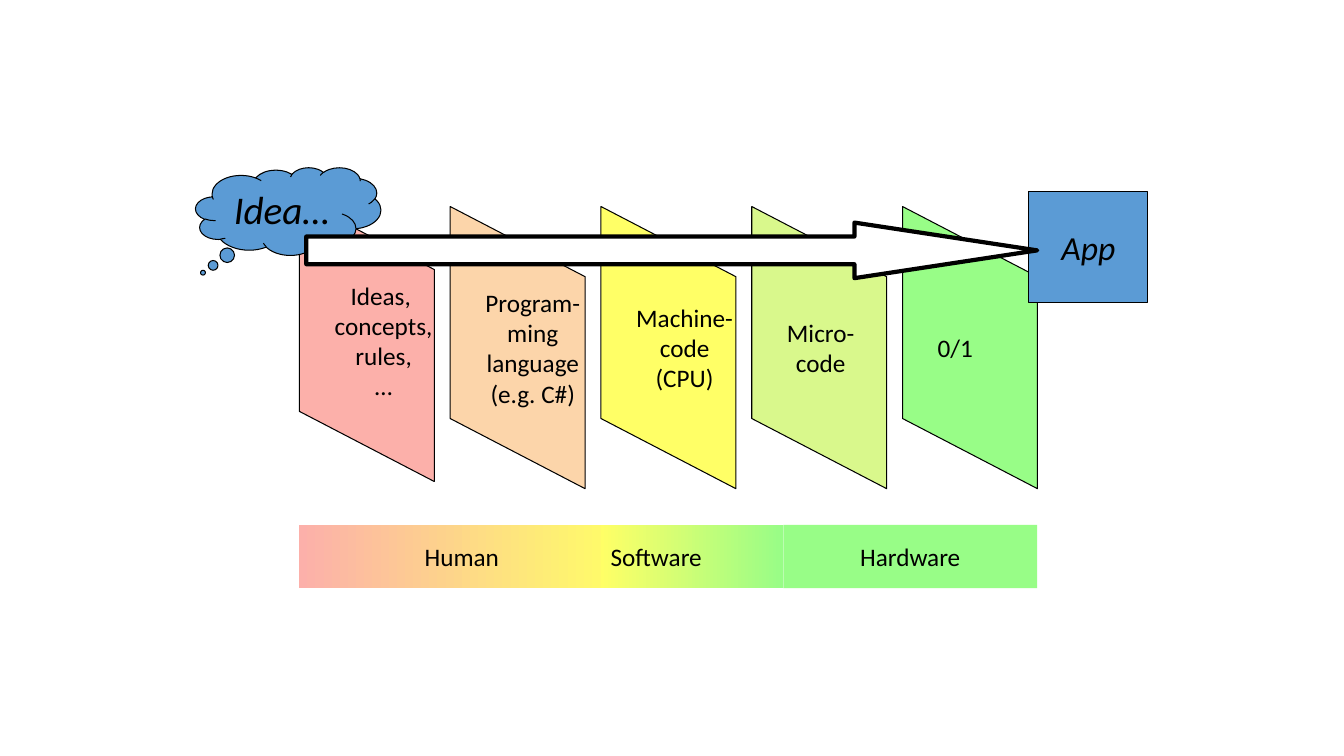
"""Build a slide showing the layers between an idea and a running app."""
from pptx import Presentation
from pptx.dml.color import RGBColor
from pptx.enum.shapes import MSO_SHAPE
from pptx.enum.text import MSO_ANCHOR, PP_ALIGN
from pptx.util import Cm, Pt

PARALLELOGRAM = MSO_SHAPE.PARALLELOGRAM
CLOUD = MSO_SHAPE.CLOUD_CALLOUT
RECTANGLE = MSO_SHAPE.RECTANGLE
RIGHT_ARROW = MSO_SHAPE.RIGHT_ARROW
MIDDLE, TOP = MSO_ANCHOR.MIDDLE, MSO_ANCHOR.TOP
CENTER, LEFT = PP_ALIGN.CENTER, PP_ALIGN.LEFT

RED, ORANGE, YELLOW = "FCB0AA", "FCD5AA", "FFFF66"
LIME, GREEN, BLUE = "D9F88C", "98FD87", "5B9BD5"
BLACK, WHITE = "000000", "FFFFFF"


def color(hex_string):
    return RGBColor.from_string(hex_string)


def add_block(kind, left, top, width, height, fills, line_width, text="",
              size=18, italic=False, align=CENTER, anchor=MIDDLE, wrap=False):
    shape = slide.shapes.add_shape(kind, Cm(left), Cm(top), Cm(width), Cm(height))
    shape.shadow.inherit = False
    if len(fills) == 1:
        shape.fill.solid()
        shape.fill.fore_color.rgb = color(fills[0])
    else:
        shape.fill.gradient()
        shape.fill.gradient_angle = 0
        for stop, fill in zip(shape.fill.gradient_stops, fills):
            stop.color.rgb = color(fill)
    if line_width:
        shape.line.color.rgb = color(BLACK)
        shape.line.width = Pt(line_width)
    else:
        shape.line.fill.background()
    text_frame = shape.text_frame
    text_frame.text = text
    text_frame.word_wrap = wrap
    text_frame.vertical_anchor = anchor
    for paragraph in text_frame.paragraphs:
        paragraph.alignment = align
        for run in paragraph.runs:
            run.font.name = "Calibri"
            run.font.size = Pt(size)
            run.font.italic = italic
            run.font.color.rgb = color(BLACK)
    return shape


presentation = Presentation()
presentation.slide_width = Cm(33.87)
presentation.slide_height = Cm(19.05)
slide = presentation.slides.add_slide(presentation.slide_layouts[6])

layers = [
    ("Ideas, \nconcepts,\nrules,\n…", RED, 6.88),
    ("Program-\nming\nlanguage\n(e.g. C#)", ORANGE, 7.06),
    ("Machine-\ncode\n(CPU)", YELLOW, 7.06),
    ("Micro-\ncode", LIME, 7.06),
    ("0/1", GREEN, 7.06),
]
for index, (text, fill, top) in enumerate(layers):
    layer = add_block(PARALLELOGRAM, 5.69 + 3.8 * index, top, 7.11, 3.4,
                      [fill], 0.75, text)
    layer.rotation = 90
    layer.adjustments[0] = 0.52
    body_properties = layer.element.txBody.bodyPr
    body_properties.set("rot", "10800000")
    body_properties.set("vert", "eaVert")

idea = add_block(CLOUD, 4.93, 4.22, 4.67, 2.21, [BLUE], 0.75, "Idea…",
                 size=28, italic=True, anchor=TOP, wrap=True)
idea.adjustments[0] = -0.46
idea.adjustments[1] = 0.7

add_block(RECTANGLE, 25.93, 4.83, 3, 2.79, [BLUE], 0.75, "App",
          size=24, italic=True)

arrow = add_block(RIGHT_ARROW, 7.72, 5.61, 18.42, 1.4, [WHITE], 3)
arrow.adjustments[0] = 0.5
arrow.adjustments[1] = 3.29

domains = [
    ("Human", 7.54, 8.2, [RED, YELLOW], CENTER),
    ("Software", 15.14, 4.6, [YELLOW, GREEN], LEFT),
    ("Hardware", 19.74, 6.4, [GREEN], CENTER),
]
for text, left, width, fills, align in domains:
    add_block(RECTANGLE, left, 13.23, width, 1.59, fills, 0, text, align=align)

presentation.save("out.pptx")
